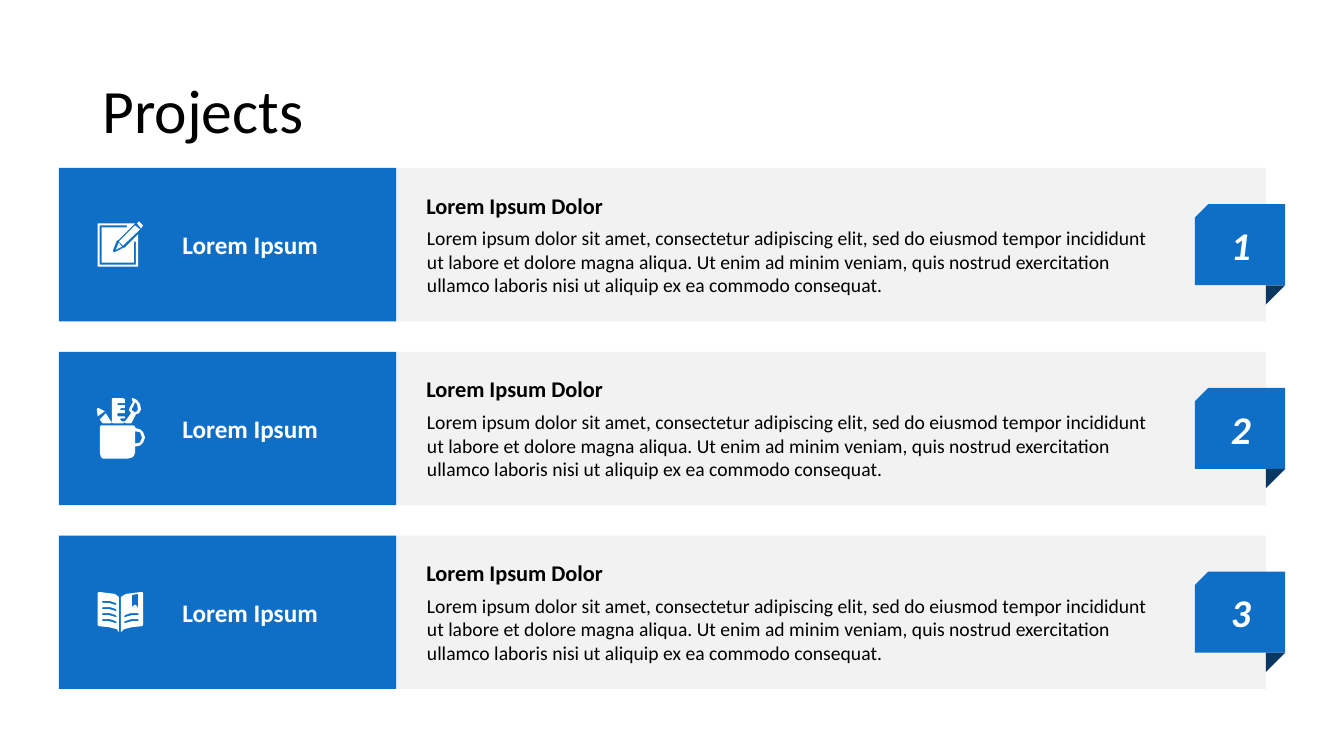
from dataclasses import dataclass

from pptx import Presentation
from pptx.dml.color import RGBColor
from pptx.enum.shapes import MSO_SHAPE as Preset
from pptx.enum.text import MSO_ANCHOR as Anchor, MSO_AUTO_SIZE as AutoSize, PP_ALIGN as Align
from pptx.util import Pt


@dataclass(frozen=True)
class Theme:
    font: str = "Calibri"
    blue: str = "0F6FC6"
    navy: str = "083763"
    grey: str = "F2F2F2"
    white: str = "FFFFFF"
    black: str = "000000"
    title: int = 44
    number: int = 28
    label: int = 18
    heading: int = 16
    body: int = 14


THEME = Theme()
ICON_UNIT = Pt(0.72)

LABEL = "Lorem Ipsum"
HEADING = "Lorem Ipsum Dolor"
BODY = ("Lorem ipsum dolor sit amet, consectetur adipiscing elit, sed do eiusmod tempor "
        "incididunt ut labore et dolore magna aliqua. Ut enim ad minim veniam, quis nostrud "
        "exercitation ullamco laboris nisi ut aliquip ex ea commodo consequat.")


def mirror(outline, width=47):
    return [(width - x, y) for x, y in outline]


def text_line(y):
    """Outline of one curved line of print on the left page."""
    return [(6, y), (13, y + 0.5), (19, y + 2), (20, y + 4), (19, y + 4),
            (12, y + 2.5), (6, y + 2), (5, y + 1)]


# Each icon is a list of pieces; each piece is an outline followed by its holes.
NOTE_ICON = [
    [[(1, 10), (38, 10), (21, 27), (20, 27), (16, 37), (17, 39), (27, 34), (28, 34),
      (41, 21), (41, 53), (1, 53)],
     [(3, 12), (30, 12), (30, 14), (5, 14), (5, 49), (37, 49), (37, 28), (39, 28),
      (39, 51), (3, 51)]],
    [[(19, 36), (25, 33), (22, 29)]],
    [[(40, 10), (42, 8), (46, 12), (44, 15)]],
    [[(38, 12), (43, 16), (26, 32), (22, 28)]],
]
MUG_ICON = [
    [[(39, 31), (38, 30), (38, 29), (36, 28), (4, 28), (3, 30), (3, 55), (4, 59), (6, 61),
      (9, 61), (31, 61), (35, 60), (37, 58), (38, 55), (38, 49), (39, 49), (43, 48),
      (46, 45), (48, 40), (46, 35), (43, 32)],
     [(38, 46), (39, 46), (43, 45), (45, 40), (43, 35), (39, 34), (38, 34)]],
    [[(29, 26), (34, 26), (35, 25), (39, 17), (42, 16), (44, 12), (43, 7), (40, 3), (36, 1),
      (35, 1), (35, 3), (36, 5), (34, 8), (33, 10), (32, 13), (33, 14), (34, 16), (29, 23),
      (28, 24), (28, 25)],
     [(35, 11), (36, 10), (38, 5), (40, 7), (41, 12), (40, 14), (38, 15), (36, 14), (35, 13)]],
    [[(2, 11), (1, 11), (0, 12), (1, 19), (8, 14)]],
    [[(6, 26), (14, 26), (15, 25), (16, 26), (26, 26), (28, 25), (28, 24), (25, 24), (23, 22),
      (24, 21), (28, 21), (28, 19), (21, 19), (20, 17), (21, 16), (28, 16), (28, 13), (24, 13),
      (23, 12), (24, 11), (28, 11), (28, 8), (21, 8), (20, 7), (21, 6), (28, 6), (28, 2),
      (26, 1), (16, 1), (15, 2), (15, 25), (14, 24), (9, 16), (3, 22), (5, 25)]],
]
PAGE = [(1, 12), (1, 44), (2, 45), (12, 46), (20, 48.5), (22.5, 51), (22.5, 16), (18, 13),
        (10, 11.5), (2, 11)]
BOOKMARK = [(35, 14), (41, 13), (41, 27), (39, 24), (37, 24), (35, 26)]
BOOK_ICON = [
    [PAGE] + [text_line(y) for y in (20, 26, 32, 38)],
    [mirror(PAGE), BOOKMARK] + [mirror(text_line(y)) for y in (32, 38)],
]


def paint(shape, color):
    shape.shadow.inherit = False
    shape.fill.solid()
    shape.fill.fore_color.rgb = RGBColor.from_string(color)
    shape.line.fill.background()


def add_block(slide, preset, box, color):
    shape = slide.shapes.add_shape(preset, *map(Pt, box))
    paint(shape, color)
    return shape


def add_text(slide, box, text, size, color, anchor=Anchor.TOP, align=Align.LEFT,
             bold=None, italic=None):
    """Add a wrapped one-paragraph text box without insets."""
    text_box = slide.shapes.add_textbox(*map(Pt, box))
    frame = text_box.text_frame
    frame.word_wrap = True
    frame.auto_size = AutoSize.SHAPE_TO_FIT_TEXT
    frame.vertical_anchor = anchor
    frame.margin_left = frame.margin_right = frame.margin_top = frame.margin_bottom = 0
    paragraph = frame.paragraphs[0]
    paragraph.text = text
    paragraph.alignment = align
    font = paragraph.font
    font.name, font.size = THEME.font, Pt(size)
    font.bold, font.italic = bold, italic
    font.color.rgb = RGBColor.from_string(color)
    return text_box


def add_icon(slide, left, top, pieces):
    for outlines in pieces:
        first, *holes = outlines
        builder = slide.shapes.build_freeform(*first[0], scale=ICON_UNIT)
        builder.add_line_segments(first[1:], close=True)
        for hole in holes:
            builder.move_to(*hole[0])
            builder.add_line_segments(hole[1:], close=True)
        paint(builder.convert_to_shape(Pt(left), Pt(top)), THEME.white)


def add_title(slide, box, text):
    left, top, width, height = box
    title = add_text(slide, (left + 7.2, top, width - 14.4, height), text,
                     THEME.title, THEME.black, Anchor.MIDDLE)
    title.text_frame.auto_size = AutoSize.NONE
    title.text_frame.paragraphs[0].line_spacing = 0.9


def add_number_tag(slide, box, number):
    left, top, width, height = box
    fold = 13.75
    tag = add_block(slide, Preset.SNIP_1_RECTANGLE, box, THEME.blue)
    tag.element.spPr.xfrm.set("flipH", "1")
    corner = add_block(slide, Preset.RIGHT_TRIANGLE,
                       (left + width - fold, top + height, fold, fold), THEME.navy)
    corner.rotation = 90
    add_text(slide, (left + 18.75, top + 12, 28, 34), str(number), THEME.number, THEME.white,
             Anchor.MIDDLE, Align.CENTER, bold=True, italic=True)


def add_project(slide, box, number, icon):
    left, top, width, height = box
    panel_width = 241
    text_left, text_width = left + panel_width + 22, 524
    add_block(slide, Preset.RECTANGLE, box, THEME.grey)
    add_block(slide, Preset.RECTANGLE, (left, top, panel_width, height), THEME.blue)
    add_icon(slide, left + 27.1, top + 32.4, icon)
    add_text(slide, (left + 88.25, top + 44, 124, 21.6), LABEL, THEME.label, THEME.white,
             Anchor.MIDDLE, bold=True)
    add_text(slide, (text_left - 0.5, top + 17, text_width, 19.4), HEADING, THEME.heading,
             THEME.black, bold=True)
    add_text(slide, (text_left, top + 41.5, text_width, 51), BODY, THEME.body, THEME.black)
    add_number_tag(slide, (left + width - 50.75, top + 25.75, 64.5, 58), number)


def main():
    presentation = Presentation()
    presentation.slide_width, presentation.slide_height = Pt(960), Pt(540)
    slide = presentation.slides.add_slide(presentation.slide_layouts[6])
    add_title(slide, (66, 28.75, 828, 104.4), "Projects")
    for index, icon in enumerate((NOTE_ICON, MUG_ICON, BOOK_ICON)):
        add_project(slide, (42, 120 + index * 131.25, 862.25, 109.5), index + 1, icon)
    presentation.save("out.pptx")


if __name__ == "__main__":
    main()
